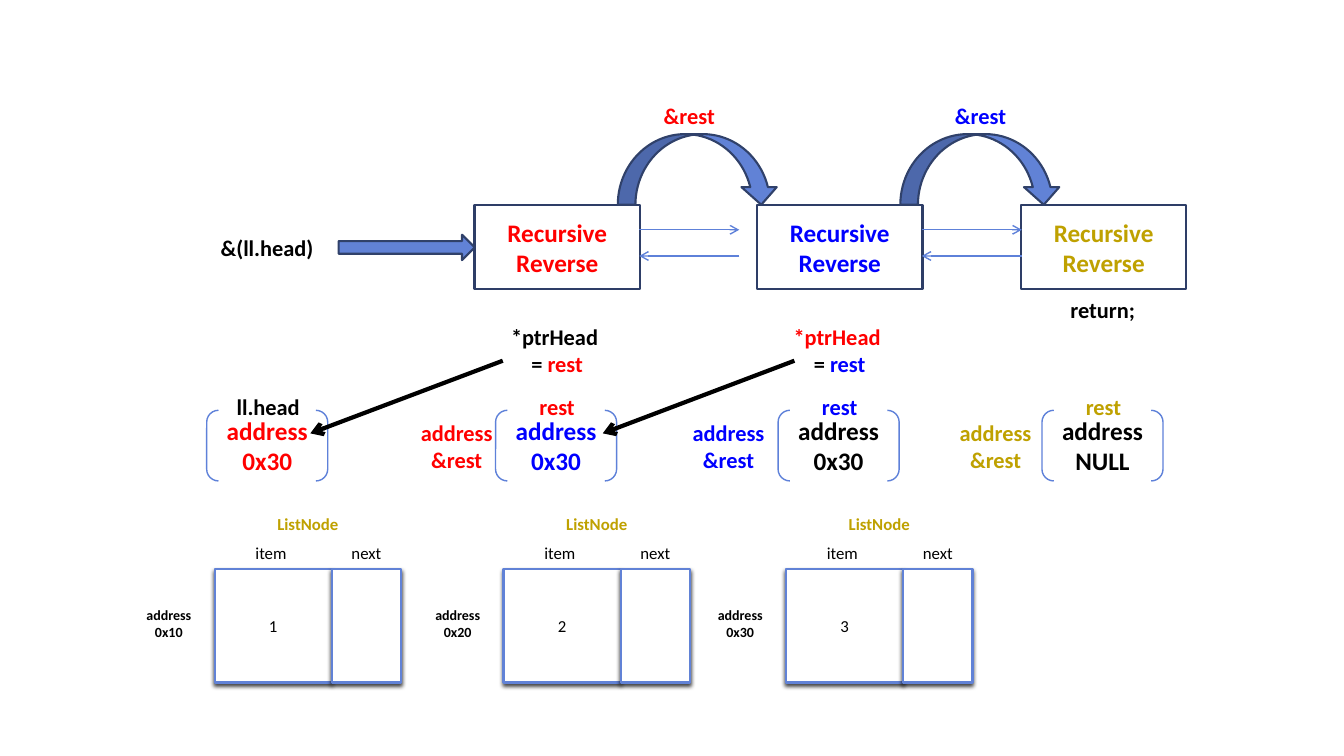
from dataclasses import dataclass
from typing import NamedTuple

from lxml.etree import SubElement
from pptx import Presentation
from pptx.dml.color import RGBColor
from pptx.enum.shapes import MSO_CONNECTOR as Link, MSO_SHAPE as Preset
from pptx.enum.text import MSO_ANCHOR as Anchor, MSO_AUTO_SIZE as AutoSize, PP_ALIGN as Align
from pptx.oxml.ns import qn
from pptx.util import Cm, Pt


@dataclass(frozen=True)
class Theme:
    font: str = "Calibri"
    red: str = "FF0000"
    blue: str = "0000FF"
    gold: str = "BFA100"
    black: str = "000000"
    white: str = "FFFFFF"
    frame: str = "2E3E67"
    arrow_fill: str = "6182D6"
    arrow_line: str = "30416A"
    thin_line: str = "5E81D9"
    large: int = 18
    medium: int = 16
    small: int = 12
    tiny: int = 10


THEME = Theme()


class Area(NamedTuple):
    """Left, top, width and height in centimetres."""
    left: float
    top: float
    width: float
    height: float


class Span(NamedTuple):
    text: str
    color: str


class Style(NamedTuple):
    fill: str | None
    line: str
    weight: float = 1.5


@dataclass(frozen=True)
class Frame:
    """One column: a call, its pointer variable and the stored address."""
    left: float
    color: str
    name: str
    value: str
    value_color: str


@dataclass(frozen=True)
class Node:
    left: float
    item: str
    address: str


BOX = Style(THEME.white, THEME.frame)
BLOCK_ARROW = Style(THEME.arrow_fill, THEME.arrow_line)
BRACKET = Style(None, THEME.thin_line, 1)
CELL = Style(THEME.white, THEME.arrow_fill)

HEAD = Frame(4.68, THEME.black, "ll.head", "0x30", THEME.red)
CALLS = [
    Frame(11.96, THEME.red, "rest", "0x30", THEME.blue),
    Frame(19.08, THEME.blue, "rest", "0x30", THEME.black),
    Frame(25.73, THEME.gold, "rest", "NULL", THEME.black),
]
NODES = [Node(frame.left + 0.73, str(number), f"0x{number}0")
         for number, frame in enumerate([HEAD, *CALLS[:2]], 1)]
PASSED_LEFTS = [15.72, 23.06]
ADDRESS_LEFTS = [9.86, 16.71, 23.44]
LABEL_WIDTH, LABEL_HEIGHT = 3.3, 0.94


def lengths(area: Area) -> list[int]:
    return [Cm(value) for value in area]


def plain(color: str, *lines: str) -> list[list[Span]]:
    return [[Span(line, color)] for line in lines]


def write(shape, lines: list[list[Span]], size: int, bold: bool = True) -> None:
    frame = shape.text_frame
    settings = {"word_wrap": True, "margin_left": 0, "margin_right": 0}
    for name, value in settings.items():
        setattr(frame, name, value)
    font_values = {"name": THEME.font, "size": Pt(size), "bold": bold}
    for index, spans in enumerate(lines):
        para = frame.add_paragraph() if index else frame.paragraphs[0]
        para.alignment = Align.CENTER
        for span in spans:
            run = para.add_run()
            run.text = span.text
            run.font.color.rgb = RGBColor.from_string(span.color)
            for name, value in font_values.items():
                setattr(run.font, name, value)


def add_label(shapes, area: Area, lines: list[list[Span]],
              size: int = THEME.medium, bold: bool = True) -> None:
    box = shapes.add_textbox(*lengths(area))
    write(box, lines, size, bold)
    box.text_frame.auto_size = AutoSize.SHAPE_TO_FIT_TEXT


def add_figure(shapes, preset: Preset, area: Area, style: Style):
    figure = shapes.add_shape(preset, *lengths(area))
    figure.shadow.inherit = False
    if style.fill:
        figure.fill.solid()
        figure.fill.fore_color.rgb = RGBColor.from_string(style.fill)
    else:
        figure.fill.background()
    figure.line.color.rgb = RGBColor.from_string(style.line)
    figure.line.width = Pt(style.weight)
    figure.text_frame.vertical_anchor = Anchor.MIDDLE
    return figure


def add_arrow(shapes, start: tuple[float, float], end: tuple[float, float],
              color: str, weight: float) -> None:
    arrow = shapes.add_connector(Link.STRAIGHT, *[Cm(v) for v in (*start, *end)])
    arrow.line.color.rgb = RGBColor.from_string(color)
    arrow.line.width = Pt(weight)
    SubElement(arrow.line._get_or_add_ln(), qn("a:tailEnd"), type="arrow")
    SubElement(arrow._element.spPr, qn("a:effectLst"))


def add_cell(shapes, area: Area):
    cell = add_figure(shapes, Preset.FLOWCHART_PROCESS, area, CELL)
    effects = cell._element.spPr.find(qn("a:effectLst"))
    shadow = SubElement(effects, qn("a:outerShdw"), blurRad=str(Pt(3)),
                        dist=str(Pt(2)), dir="5400000", rotWithShape="0")
    color = SubElement(shadow, qn("a:srgbClr"), val=THEME.black)
    SubElement(color, qn("a:alpha"), val="75000")
    return cell


def draw_call(shapes, call: Frame) -> None:
    group = shapes.add_group_shape().shapes
    add_figure(group, Preset.RECTANGLE, Area(call.left, 5.16, 4.17, 2.13), BOX)
    add_label(group, Area(call.left, 5.35, 4.17, 1.78),
              plain(call.color, "Recursive", "Reverse"), THEME.large)


def draw_handover(shapes, call: Frame, label_left: float) -> None:
    add_figure(shapes, Preset.CURVED_DOWN_ARROW,
               Area(call.left + 3.61, 3.38, 4.06, 1.78), BLOCK_ARROW)
    add_label(shapes, Area(label_left, 2.44, LABEL_WIDTH, LABEL_HEIGHT),
              plain(call.color, "&rest"))
    near, far = call.left + 4.15, call.left + 6.67
    add_arrow(shapes, (near, 5.79), (far, 5.79), THEME.thin_line, 1)
    add_arrow(shapes, (far, 6.45), (near, 6.45), THEME.thin_line, 1)


def draw_variable(shapes, frame: Frame) -> None:
    left = frame.left + 0.53
    bracket = add_figure(shapes, Preset.DOUBLE_BRACKET, Area(left, 10.34, 3.05, 1.78), BRACKET)
    write(bracket, plain(frame.value_color, "address", frame.value), THEME.large)
    add_label(shapes, Area(left - 0.1, 9.78, LABEL_WIDTH, LABEL_HEIGHT),
              plain(frame.color, frame.name))


def draw_assignment(shapes, target: Frame, call: Frame, tip: float, start: float) -> None:
    lines = [[Span("*ptrHead ", target.color)],
             [Span("= ", THEME.black), Span("rest", call.color)]]
    add_label(shapes, Area(call.left + 0.43, 8.03, LABEL_WIDTH, 1.6), lines)
    add_arrow(shapes, (start, 9.09), (tip, 10.92), THEME.black, 3)


def draw_node(shapes, node: Node) -> None:
    group = shapes.add_group_shape().shapes
    left, next_left = node.left, node.left + 2.95
    item = add_cell(group, Area(left, 14.33, 2.95, 2.87))
    write(item, plain(THEME.black, node.item), THEME.small, False)
    add_cell(group, Area(next_left, 14.33, 1.75, 2.87))
    add_label(group, Area(left - 2.03, 15.16, 1.75, 1.09),
              plain(THEME.black, "address", node.address), THEME.tiny)
    for text, start, width in [("next", next_left, 1.75), ("item", left + 0.76, 1.32)]:
        add_label(group, Area(start, 13.56, width, 0.76),
                  plain(THEME.black, text), THEME.small, False)
    add_label(group, Area(left, 12.83, 4.7, 0.76), plain(THEME.gold, "ListNode"), THEME.small)


def main() -> None:
    deck = Presentation()
    deck.slide_width, deck.slide_height = Cm(33.87), Cm(19.05)
    shapes = deck.slides.add_slide(deck.slide_layouts[6]).shapes

    # Recursive calls and what they pass on
    for call in CALLS:
        draw_call(shapes, call)
    for call, label_left in zip(CALLS, PASSED_LEFTS):
        draw_handover(shapes, call, label_left)
    add_label(shapes, Area(25.4, 7.34, 4.78, LABEL_HEIGHT), plain(THEME.black, "return;"))

    # First argument
    add_label(shapes, Area(5.08, 5.77, LABEL_WIDTH, LABEL_HEIGHT), plain(THEME.black, "&(ll.head)"))
    entry = add_figure(shapes, Preset.DOWN_ARROW, Area(9.93, 4.52, 0.64, 3.43), BLOCK_ARROW)
    entry.rotation = 270

    # Pointer variables and their addresses
    for frame in [HEAD, *CALLS]:
        draw_variable(shapes, frame)
    for call, left in zip(CALLS, ADDRESS_LEFTS):
        add_label(shapes, Area(left, 10.44, LABEL_WIDTH, 1.57), plain(call.color, "address", "&rest"))

    # Assignments on the way back
    draw_assignment(shapes, HEAD, CALLS[0], 7.82, 12.67)
    draw_assignment(shapes, CALLS[0], CALLS[1], 15.19, 20.02)

    # Linked list nodes
    for node in NODES:
        draw_node(shapes, node)

    deck.save("out.pptx")


if __name__ == "__main__":
    main()
